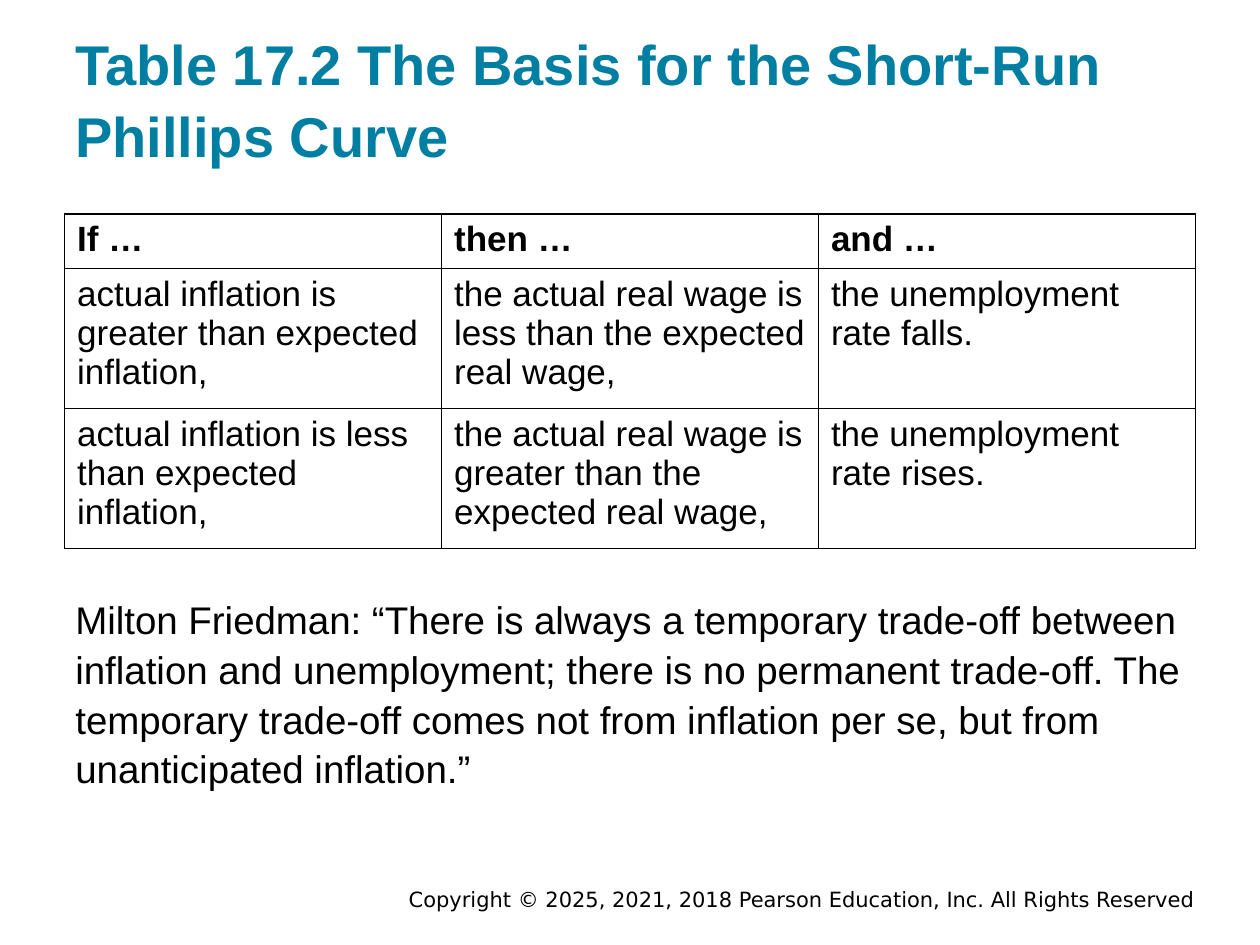
from dataclasses import dataclass

from lxml.etree import SubElement
from pptx import Presentation
from pptx.dml.color import RGBColor
from pptx.enum.text import MSO_ANCHOR as Anchor, PP_ALIGN as Align
from pptx.oxml.ns import qn
from pptx.util import Pt


@dataclass(frozen=True)
class Theme:
    accent: str = "007FA3"
    ink: str = "000000"
    font: str = "Arial"
    footer_font: str = "DejaVu Sans"
    title_size: float = 32
    quote_size: float = 22
    table_size: float = 20
    footer_size: float = 12
    line_spacing: float = 1.08
    border: float = 1


class Deck:
    """Builds slides in one theme, with lengths in points."""

    def __init__(self, theme, width, height):
        self.theme = theme
        self.presentation = Presentation()
        self.presentation.slide_width = Pt(width)
        self.presentation.slide_height = Pt(height)
        self.slide = None

    def new_slide(self):
        self.slide = self.presentation.slides.add_slide(self.presentation.slide_layouts[6])

    def add_words(self, paragraph, words, size, color=None, bold=False, font=None):
        run = paragraph.add_run()
        run.text = words
        run.font.name = font or self.theme.font
        run.font.size = Pt(size)
        run.font.bold = bold
        run.font.color.rgb = RGBColor.from_string(color or self.theme.ink)

    def text(self, box, words, size, anchor=Anchor.TOP, align=Align.LEFT,
             inset=7.2, spacing=None, **style):
        frame = self.slide.shapes.add_textbox(*map(Pt, box)).text_frame
        frame.word_wrap = True
        frame.vertical_anchor = anchor
        frame.margin_top = frame.margin_bottom = Pt(inset)
        paragraph = frame.paragraphs[0]
        paragraph.alignment = align
        paragraph.line_spacing = spacing
        self.add_words(paragraph, words, size, **style)

    def outline(self, cell):
        properties = cell._tc.get_or_add_tcPr()
        for side in ("a:lnL", "a:lnR", "a:lnT", "a:lnB"):
            line = SubElement(properties, qn(side), w=str(Pt(self.theme.border)))
            fill = SubElement(line, qn("a:solidFill"))
            SubElement(fill, qn("a:srgbClr"), val=self.theme.ink)

    def table(self, left, top, column_width, row_heights, rows):
        columns = len(rows[0])
        grid = self.slide.shapes.add_table(
            len(rows), columns, Pt(left), Pt(top),
            Pt(column_width * columns), Pt(sum(row_heights))).table
        grid.horz_banding = False
        for column in grid.columns:
            column.width = Pt(column_width)
        for r, (height, row) in enumerate(zip(row_heights, rows)):
            grid.rows[r].height = Pt(height)
            for c, words in enumerate(row):
                cell = grid.cell(r, c)
                self.outline(cell)
                cell.fill.background()
                self.add_words(cell.text_frame.paragraphs[0], words,
                               self.theme.table_size, bold=r == 0)

    def save(self):
        self.presentation.save("out.pptx")


def main():
    theme = Theme()
    deck = Deck(theme, 720, 540)
    deck.new_slide()
    deck.text((126, 506, 564, 16), "Copyright © 2025, 2021, 2018 Pearson Education, Inc. "
              "All Rights Reserved", theme.footer_size, anchor=Anchor.MIDDLE,
              align=Align.RIGHT, inset=3.6, font=theme.footer_font)
    deck.text((36, 17.5, 648, 86.4), "Table 17.2 The Basis for the Short-Run Phillips Curve",
              theme.title_size, anchor=Anchor.BOTTOM, spacing=theme.line_spacing,
              color=theme.accent, bold=True)
    deck.table(36.9, 122.2, 215.4, (29.5, 80, 80), (
        ("If …", "then …", "and …"),
        ("actual inflation is greater than expected inflation,",
         "the actual real wage is less than the expected real wage,",
         "the unemployment rate falls."),
        ("actual inflation is less than expected inflation,",
         "the actual real wage is greater than the expected real wage,",
         "the unemployment rate rises."),
    ))
    deck.text((36, 331.2, 648, 131), "Milton Friedman: “There is always a temporary trade-off "
              "between inflation and unemployment; there is no permanent trade-off. The temporary "
              "trade-off comes not from inflation per se, but from unanticipated inflation.”",
              theme.quote_size, spacing=theme.line_spacing)
    deck.save()


if __name__ == "__main__":
    main()
